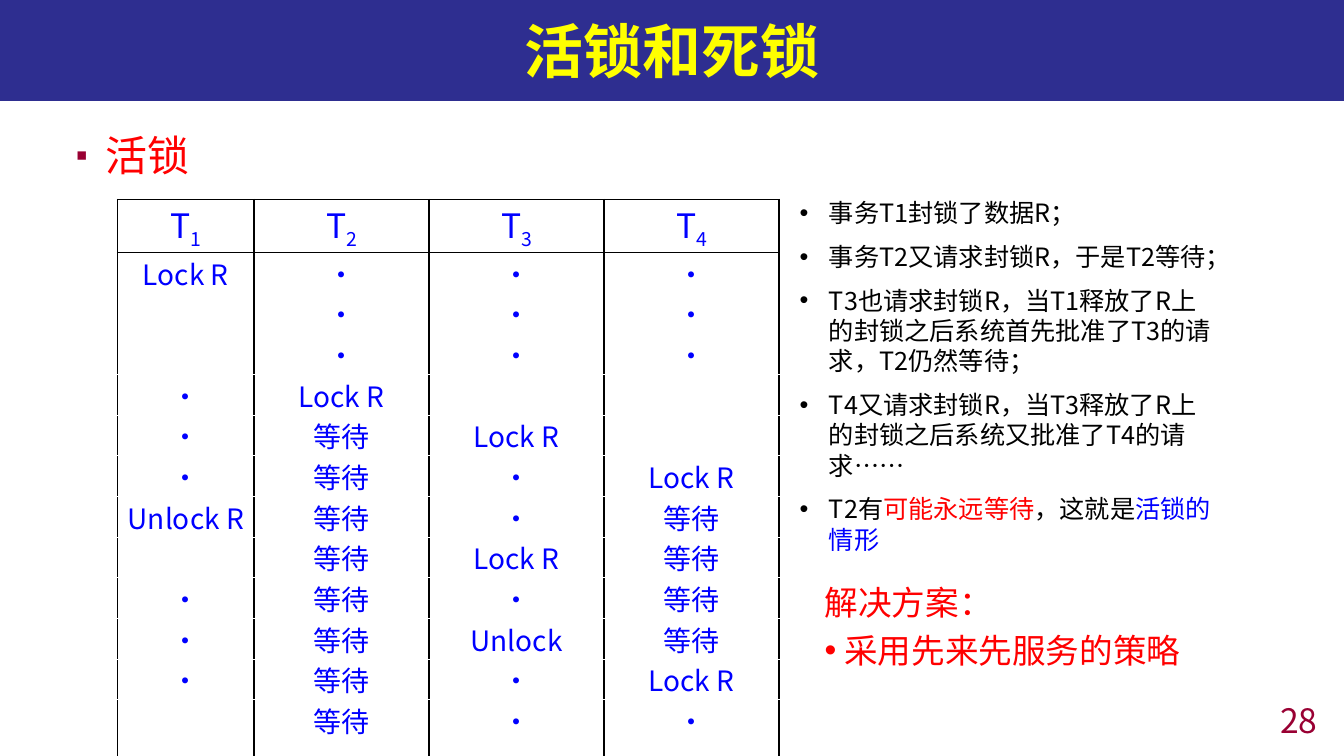
from lxml.etree import SubElement
from pptx import Presentation
from pptx.dml.color import RGBColor
from pptx.enum.text import MSO_ANCHOR as Anchor, MSO_AUTO_SIZE as AutoSize, PP_ALIGN as Align
from pptx.oxml.ns import qn
from pptx.util import Pt

FONT, BULLET_FONT = "Noto Sans CJK SC", "Arial"
BLACK, WHITE, RED, BLUE = "000000", "FFFFFF", "FF0000", "0000FF"
YELLOW, NAVY, MAROON = "FFFF00", "000078", "990033"

TITLE = "活锁和死锁"
TOPIC = "活锁"
PAGE_NUMBER = "28"
TRANSACTIONS = ["1", "2", "3", "4"]
DOTS = "•\n•\n•"
SCHEDULE = [
    ("Lock R", DOTS, DOTS, DOTS),
    ("•", "Lock R", "", ""),
    ("•", "等待", "Lock R", ""),
    ("•", "等待", "•", "Lock R"),
    ("Unlock R", "等待", "•", "等待"),
    ("", "等待", "Lock R", "等待"),
    ("•", "等待", "•", "等待"),
    ("•", "等待", "Unlock", "等待"),
    ("•", "等待", "•", "Lock R"),
    ("", "等待", "•", "•"),
]
STEPS = [
    [("事务T1封锁了数据R；", BLACK)],
    [("事务T2又请求封锁R，于是T2等待；", BLACK)],
    [("T3也请求封锁R，当T1释放了R上的封锁之后系统首先批准了T3的请求，T2仍然等待；", BLACK)],
    [("T4又请求封锁R，当T3释放了R上的封锁之后系统又批准了T4的请求……", BLACK)],
    [("T2有", BLACK), ("可能永远等待", RED), ("，这就是", BLACK), ("活锁的情形", BLUE)],
]
SOLUTION = ["解决方案：", "采用先来先服务的策略"]

COLUMN_WIDTHS = [97.5, 125, 125, 125]
ROW_HEIGHTS = [29, 68] + [23] * 8 + [68]


def rgb(value):
    return RGBColor.from_string(value)


def add_span(para, text, size, color, bold=False, subscript=False):
    span = para.add_run()
    span.text = text
    font = span.font
    font.size, font.bold, font.name = Pt(size), bold, FONT
    font.color.rgb = rgb(color)
    properties = font._element
    SubElement(properties, qn("a:ea"), typeface=FONT)
    if subscript:
        properties.set("baseline", "-25000")


def format_para(para, align=Align.LEFT, spacing=1.0, before=0, bullet=None,
                indent=0, bullet_color=None, bullet_scale=100):
    properties = para._p.get_or_add_pPr()
    properties.set("marL", str(Pt(indent)))
    properties.set("indent", str(Pt(-indent)))
    if bullet_color:
        SubElement(SubElement(properties, qn("a:buClr")), qn("a:srgbClr"), val=bullet_color)
    if bullet:
        SubElement(properties, qn("a:buSzPct"), val=str(bullet_scale * 1000))
        SubElement(properties, qn("a:buFont"), typeface=BULLET_FONT)
        SubElement(properties, qn("a:buChar"), char=bullet)
    para.alignment, para.line_spacing, para.space_before = align, spacing, Pt(before)


def add_para(frame, spans, size, **layout):
    """Fill the empty first paragraph of the frame, or append a new one."""
    first = frame.paragraphs[0]
    para = frame.add_paragraph() if first.runs else first
    format_para(para, **layout)
    for text, color in spans:
        add_span(para, text, size, color)


def place(shape, left, top, width, height):
    shape.left, shape.top, shape.width, shape.height = map(Pt, (left, top, width, height))


def add_box(page, left, top, width, height):
    frame = page.shapes.add_textbox(*map(Pt, (left, top, width, height))).text_frame
    frame.word_wrap = True
    return frame


def add_border(cell, side, color, width):
    line = SubElement(cell._tc.get_or_add_tcPr(), qn(f"a:ln{side}"), w=str(Pt(width)))
    SubElement(SubElement(line, qn("a:solidFill")), qn("a:srgbClr"), val=color)


def add_title(page):
    title = page.shapes.title
    place(title, 0, 0, 960, 72)
    title.fill.solid()
    title.fill.fore_color.rgb = rgb(NAVY)
    color = title._element.spPr.find(f"{qn('a:solidFill')}/{qn('a:srgbClr')}")
    SubElement(color, qn("a:alpha"), val="82000")
    frame = title.text_frame
    frame.auto_size, frame.vertical_anchor = AutoSize.NONE, Anchor.MIDDLE
    para = frame.paragraphs[0]
    format_para(para, align=Align.CENTER)
    add_span(para, TITLE, 42, YELLOW, bold=True)


def add_topic(page):
    body = page.placeholders[1]
    place(body, 47, 84, 867, 430)
    body.text_frame.auto_size = AutoSize.NONE
    add_para(body.text_frame, [(TOPIC, RED)], 30, bullet="▪", indent=21, spacing=1.14,
             bullet_color=MAROON, bullet_scale=80)


def add_schedule(page):
    rows, columns = len(ROW_HEIGHTS), len(COLUMN_WIDTHS)
    table = page.shapes.add_table(rows, columns, Pt(84), Pt(142.5),
                                  Pt(sum(COLUMN_WIDTHS)), Pt(sum(ROW_HEIGHTS))).table
    table.first_row = table.horz_banding = False
    for column, width in zip(table.columns, COLUMN_WIDTHS):
        column.width = Pt(width)
    for row, height in zip(table.rows, ROW_HEIGHTS):
        row.height = Pt(height)

    edges = [(BLACK, 1), (BLACK, 0.25)] + [(WHITE, 1)] * (rows - 2) + [(BLACK, 1)]
    for index in range(rows):
        for number in range(columns):
            cell = table.cell(index, number)
            cell.margin_left = cell.margin_right = Pt(5)
            cell.margin_top = cell.margin_bottom = 0
            for side, edge in zip("LRTB", [(BLACK, 1)] * 2 + edges[index:index + 2]):
                add_border(cell, side, *edge)
            cell.fill.background()
            frame = cell.text_frame
            if index == 0:
                add_para(frame, [("T", BLUE)], 24, align=Align.CENTER)
                add_span(frame.paragraphs[0], TRANSACTIONS[number], 24, BLUE, subscript=True)
            elif SCHEDULE[index - 1][number]:
                for line in SCHEDULE[index - 1][number].split("\n"):
                    add_para(frame, [(line, BLUE)], 20, align=Align.CENTER)


def add_notes_column(page):
    steps = add_box(page, 564, 137.5, 311, 266)
    for index, spans in enumerate(STEPS):
        add_para(steps, spans, 18, bullet="•", indent=21, before=9.7 if index else 0)
    solution = add_box(page, 582, 406, 290, 74)
    heading, strategy = SOLUTION
    add_para(solution, [(heading, RED)], 24, spacing=1.2)
    add_para(solution, [(strategy, RED)], 24, spacing=1.2, bullet="•", indent=14)


def add_page_number(page):
    frame = add_box(page, 744, 503, 204, 22)
    frame.vertical_anchor = Anchor.MIDDLE
    add_para(frame, [(PAGE_NUMBER, MAROON)], 24, align=Align.RIGHT)


def main():
    deck = Presentation()
    deck.slide_width, deck.slide_height = Pt(960), Pt(540)
    page = deck.slides.add_slide(deck.slide_layouts[1])
    add_title(page)
    add_topic(page)
    add_schedule(page)
    add_notes_column(page)
    add_page_number(page)
    deck.save("out.pptx")


if __name__ == "__main__":
    main()
